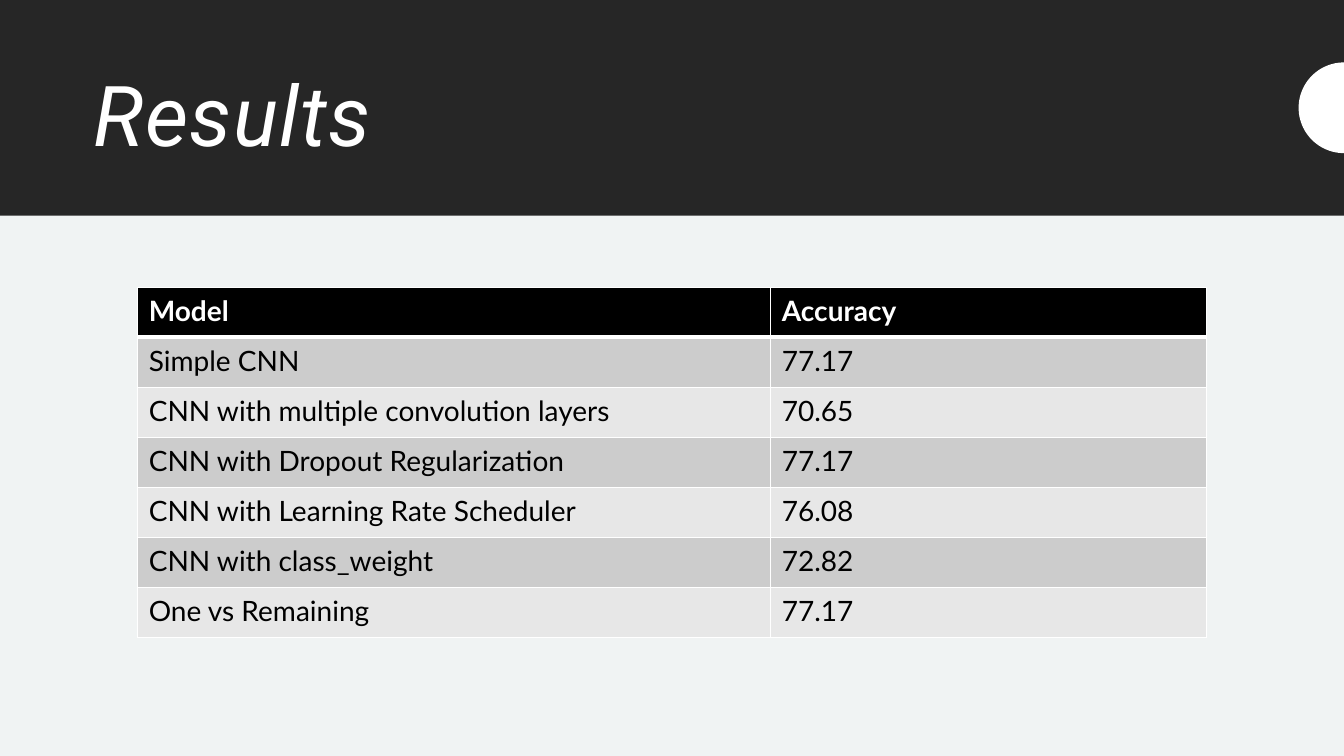
from dataclasses import dataclass
from math import cos, pi, sin

from lxml.etree import SubElement
from pptx import Presentation
from pptx.dml.color import RGBColor
from pptx.enum.shapes import MSO_SHAPE
from pptx.enum.text import MSO_ANCHOR
from pptx.oxml.ns import qn
from pptx.util import Inches, Pt


@dataclass(frozen=True)
class Theme:
    background: str = "F0F3F3"
    band: str = "262626"
    light: str = "FFFFFF"
    dark: str = "000000"
    stripes: tuple = ("E7E7E7", "CCCCCC")
    title_font: str = "Roboto"
    body_font: str = "Lato"
    title_size: int = 60
    body_size: int = 20
    thin_line: int = 1
    thick_line: int = 3


def paint(shape, color):
    shape.shadow.inherit = False
    shape.fill.solid()
    shape.fill.fore_color.rgb = RGBColor.from_string(color)
    shape.line.fill.background()


def style_run(run, color, **formats):
    run.font.color.rgb = RGBColor.from_string(color)
    for name, value in formats.items():
        setattr(run.font, name, value)


theme = Theme()
presentation = Presentation()
presentation.slide_width = Inches(13.33)
presentation.slide_height = Inches(7.5)
width, height = presentation.slide_width, presentation.slide_height
slide = presentation.slides.add_slide(presentation.slide_layouts[6])
slide.background.fill.solid()
slide.background.fill.fore_color.rgb = RGBColor.from_string(theme.background)

band_height = int(height * 0.2853)
band = slide.shapes.add_shape(MSO_SHAPE.RECTANGLE, 0, 0, width, band_height)
paint(band, theme.band)

title = slide.shapes.add_textbox(
    int(width / 16), int(height * 0.0613), int(width * 7 / 8), int(height * 0.1933)
)
title_frame = title.text_frame
title_frame.word_wrap = True
title_frame.vertical_anchor = MSO_ANCHOR.MIDDLE
title_paragraph = title_frame.paragraphs[0]
title_paragraph.line_spacing = 0.9
title_run = title_paragraph.add_run()
title_run.text = "Results"
style_run(title_run, theme.light, name=theme.title_font,
          size=Pt(theme.title_size), italic=True)
title_run._r.get_or_add_rPr().set("spc", "100")

radius = height * 0.06
center_y = band_height / 2
arc_steps = 48
arc = [
    (int(width - radius * sin(pi * step / arc_steps)),
     int(center_y - radius * cos(pi * step / arc_steps)))
    for step in range(arc_steps + 1)
]
builder = slide.shapes.build_freeform(*arc[0])
builder.add_line_segments(arc[1:], close=True)
paint(builder.convert_to_shape(), theme.light)

results = [
    ("Model", "Accuracy"),
    ("Simple CNN", "77.17"),
    ("CNN with multiple convolution layers", "70.65"),
    ("CNN with Dropout Regularization", "77.17"),
    ("CNN with Learning Rate Scheduler", "76.08"),
    ("CNN with class_weight", "72.82"),
    ("One vs Remaining", "77.17"),
]
table_width, table_height = int(width * 0.795), int(height * 0.463)
table = slide.shapes.add_table(
    len(results), 2, int(width * 0.1025), int(height * 0.38), table_width, table_height
).table
for column, share in zip(table.columns, (0.5925, 0.4075)):
    column.width = int(table_width * share)
for row in table.rows:
    row.height = int(table_height / len(results))

cell_margins = {
    "margin_left": Inches(0.11), "margin_right": Inches(0.11),
    "margin_top": Inches(0.06), "margin_bottom": Inches(0.06),
}
for row_index, values in enumerate(results):
    is_header = row_index == 0
    fill_color = theme.dark if is_header else theme.stripes[row_index % 2]
    text_color = theme.light if is_header else theme.dark
    thick_side = {0: "lnB", 1: "lnT"}.get(row_index)
    for column_index, text in enumerate(values):
        cell = table.cell(row_index, column_index)
        for name, value in cell_margins.items():
            setattr(cell, name, value)
        properties = cell._tc.get_or_add_tcPr()
        for side in ("lnL", "lnR", "lnT", "lnB"):
            points = theme.thick_line if side == thick_side else theme.thin_line
            border = SubElement(properties, qn(f"a:{side}"), w=str(Pt(points)))
            border_fill = SubElement(border, qn("a:solidFill"))
            SubElement(border_fill, qn("a:srgbClr"), val=theme.light)
        cell.fill.solid()
        cell.fill.fore_color.rgb = RGBColor.from_string(fill_color)
        run = cell.text_frame.paragraphs[0].add_run()
        run.text = text
        style_run(run, text_color, name=theme.body_font,
                  size=Pt(theme.body_size), bold=is_header)

presentation.save("out.pptx")
